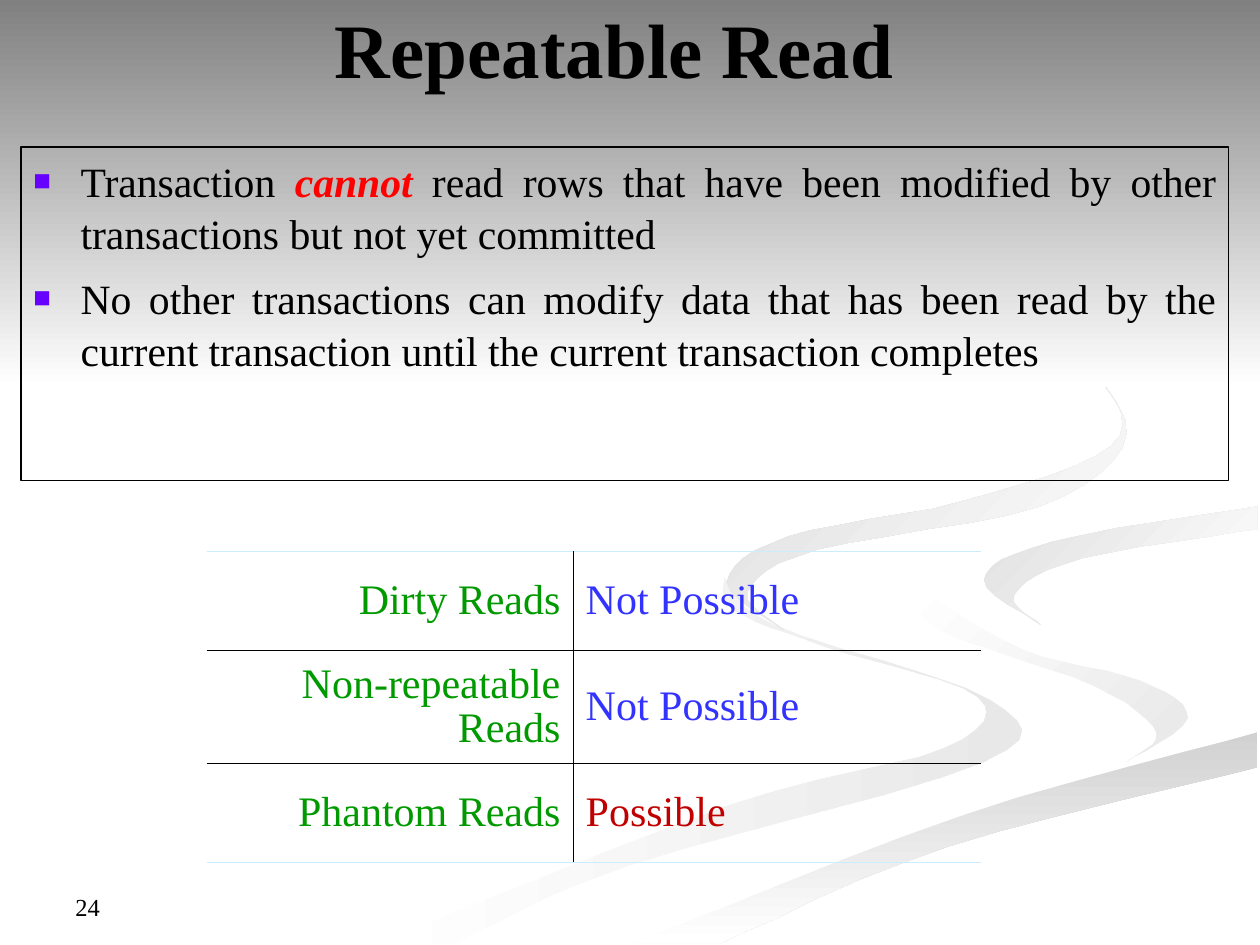
from collections import namedtuple
from dataclasses import dataclass

from lxml import etree
from pptx import Presentation
from pptx.dml.color import RGBColor
from pptx.enum.shapes import MSO_SHAPE
from pptx.enum.text import MSO_ANCHOR, PP_ALIGN
from pptx.oxml.ns import qn
from pptx.util import Pt

RECTANGLE = MSO_SHAPE.RECTANGLE
MIDDLE, TOP, BOTTOM = MSO_ANCHOR.MIDDLE, MSO_ANCHOR.TOP, MSO_ANCHOR.BOTTOM
LEFT, CENTER, RIGHT, JUSTIFY = PP_ALIGN.LEFT, PP_ALIGN.CENTER, PP_ALIGN.RIGHT, PP_ALIGN.JUSTIFY

Box = namedtuple("Box", "left top width height")
TITLE_ONLY = 5
GRID_WIDTH = 1000  # ribbon edges lie on a grid 1000 units wide
CURVE_STEPS = 6


@dataclass(frozen=True)
class Theme:
    font: str = "Times New Roman"
    title_size: float = 44
    body_size: float = 23.8
    table_size: float = 24
    number_size: float = 14
    rule: float = 0.45
    text: str = "000000"
    emphasis: str = "FF0000"
    bullet: str = "6600FF"
    problem: str = "009900"
    prevented: str = "3333FF"
    allowed: str = "C00000"
    outer_rule: str = "CCECFF"
    sky: str = "808080"
    paper: str = "FFFFFF"
    mist: str = "E8E8E8"
    road: str = "D1D1D1"
    turn: str = "E0E0E0"
    far: str = "D8D8D8"


THEME = Theme()

# Edges that two ribbons share
BEND_OUTER = [(724, 464), (811, 515), (905, 540), (943, 570), (894, 605)]
ROAD_TOP = [(503, 749), (764, 647), (998, 581)]
TURN_OUTER = [(998, 402), (835, 430), (781, 460), (826, 496)]

# Each ribbon: gradient start, gradient end, clockwise angle, edges in order
RIBBONS = [
    (THEME.paper, THEME.mist, 0, [
        [(575, 459), (582, 484), (654, 513), (776, 553), (749, 594), (579, 639), (300, 749)],
        [(361, 749), (499, 687), (780, 605), (786, 556), (614, 496), (575, 459)]]),
    (THEME.paper, THEME.mist, 45, [
        BEND_OUTER, [(894, 605), (918, 581), (868, 544), (746, 500), (724, 464)]]),
    (THEME.road, THEME.paper, 90, [ROAD_TOP, [(998, 609), (752, 672), (571, 749)]]),
    (THEME.paper, THEME.paper, 0, [
        [(477, 749), (663, 668), (894, 605)], BEND_OUTER[::-1],
        [(724, 464), (788, 422), (998, 387)], TURN_OUTER,
        [(826, 496), (998, 538)], ROAD_TOP[::-1]]),
    (THEME.turn, THEME.paper, 45, [
        TURN_OUTER, [(826, 496), (805, 472), (859, 443), (998, 420)]]),
    (THEME.far, THEME.paper, 45, [
        [(762, 233), (870, 299), (882, 354), (763, 398), (625, 426), (577, 462), (622, 500)],
        [(622, 500), (593, 470), (649, 436), (825, 402), (894, 344), (843, 275), (762, 233)]]),
]

RULES = [
    [("Transaction ", False), ("cannot", True),
     (" read rows that have been modified by other transactions but not yet committed", False)],
    [("No other transactions can modify data that has been read by the current "
      "transaction until the current transaction completes", False)],
]

ANOMALIES = [
    ("Dirty Reads", "Not Possible", THEME.prevented),
    ("Non-repeatable Reads", "Not Possible", THEME.prevented),
    ("Phantom Reads", "Possible", THEME.allowed),
]


def add_run(paragraph, text, size, color=THEME.text, bold=False, italic=False):
    run = paragraph.add_run()
    run.text = text
    font = run.font
    font.name, font.size, font.bold, font.italic = THEME.font, Pt(size), bold, italic
    font.color.rgb = RGBColor.from_string(color)


def smooth(edge):
    """Points of a Catmull-Rom curve through the points of an edge."""
    padded = [edge[0], *edge, edge[-1]]
    curve = [edge[0]]
    for quad in zip(padded, padded[1:], padded[2:], padded[3:]):
        for step in range(1, CURVE_STEPS + 1):
            t = step / CURVE_STEPS
            curve.append(tuple(
                (2 * b + (c - a) * t + (2 * a - 5 * b + 4 * c - d) * t ** 2
                 + (3 * b - a - 3 * c + d) * t ** 3) / 2
                for a, b, c, d in zip(*quad)))
    return curve


def fade(shape, start, end, angle):
    shape.shadow.inherit = False
    shape.line.fill.background()
    shape.fill.gradient()
    shape.fill.gradient_angle = (360 - angle) % 360
    for stop, color in zip(shape.fill.gradient_stops, (start, end)):
        stop.color.rgb = RGBColor.from_string(color)


def add_backdrop(slide, box):
    """Winding ribbons under a sky that fades to white."""
    scale = Pt(box.width) / GRID_WIDTH
    for start, end, angle, edges in RIBBONS:
        outline = [point for edge in edges for point in smooth(edge)]
        builder = slide.shapes.build_freeform(*outline[0], scale=scale)
        builder.add_line_segments(outline[1:], close=True)
        fade(builder.convert_to_shape(Pt(box.left), Pt(box.top)), start, end, angle)
    sky = slide.shapes.add_shape(
        RECTANGLE, Pt(box.left), Pt(box.top), Pt(box.width), Pt(box.height * 0.41))
    fade(sky, THEME.sky, THEME.paper, 90)


def place_title(slide, box, text):
    title = slide.shapes.title
    title.left, title.top, title.width, title.height = map(Pt, box)
    title.text_frame.vertical_anchor = MIDDLE
    paragraph = title.text_frame.paragraphs[0]
    paragraph.alignment = CENTER
    add_run(paragraph, text, THEME.title_size, bold=True)
    # Bring the title in front of the backdrop
    title._element.getparent().append(title._element)


def add_bullet(paragraph):
    properties = paragraph._p.get_or_add_pPr()
    properties.set("marL", str(Pt(27)))
    properties.set("indent", str(Pt(-27)))
    color = etree.SubElement(properties, qn("a:buClr"))
    etree.SubElement(color, qn("a:srgbClr"), val=THEME.bullet)
    etree.SubElement(properties, qn("a:buSzPct"), val="70000")
    etree.SubElement(properties, qn("a:buFont"), typeface=THEME.font)
    etree.SubElement(properties, qn("a:buChar"), char="■")


def add_rules(slide, box):
    """Framed list of what the isolation level guarantees."""
    panel = slide.shapes.add_shape(RECTANGLE, *map(Pt, box))
    panel.shadow.inherit = False
    panel.fill.background()
    panel.line.color.rgb = RGBColor.from_string(THEME.text)
    panel.line.width = Pt(0.75)
    frame = panel.text_frame
    frame.word_wrap, frame.vertical_anchor = True, TOP
    for index, rule in enumerate(RULES):
        paragraph = frame.add_paragraph() if index else frame.paragraphs[0]
        add_bullet(paragraph)
        paragraph.alignment = JUSTIFY
        paragraph.line_spacing = 1.05
        paragraph.space_before = Pt(7 if index else 0)
        for text, strong in rule:
            add_run(paragraph, text, THEME.body_size,
                    THEME.emphasis if strong else THEME.text, strong, strong)


def set_borders(cell, **colors):
    properties = cell._tc.get_or_add_tcPr()
    for position, side in enumerate("LRTB"):
        line = etree.Element(qn(f"a:ln{side}"), w=str(Pt(THEME.rule)))
        if side in colors:
            fill = etree.SubElement(line, qn("a:solidFill"))
            etree.SubElement(fill, qn("a:srgbClr"), val=colors[side])
        else:
            etree.SubElement(line, qn("a:noFill"))
        properties.insert(position, line)


def add_anomalies(slide, box):
    """Table of read anomalies and whether each can happen."""
    last = len(ANOMALIES) - 1
    table = slide.shapes.add_table(len(ANOMALIES), 2, *map(Pt, box)).table
    table.first_row = table.horz_banding = False
    for column, width in zip(table.columns, (209.5, box.width - 209.5)):
        column.width = Pt(width)
    for row, height in zip(table.rows, (56.7, box.height - 2 * 56.7, 56.7)):
        row.height = Pt(height)
    for index, (problem, outcome, color) in enumerate(ANOMALIES):
        top = THEME.text if index else THEME.outer_rule
        bottom = THEME.text if index < last else THEME.outer_rule
        entries = ((problem, THEME.problem, RIGHT, "R"), (outcome, color, LEFT, "L"))
        for column, (text, ink, alignment, inner) in enumerate(entries):
            cell = table.cell(index, column)
            cell.fill.background()
            cell.vertical_anchor = MIDDLE
            set_borders(cell, T=top, B=bottom, **{inner: THEME.text})
            paragraph = cell.text_frame.paragraphs[0]
            paragraph.alignment = alignment
            paragraph.line_spacing = 0.95
            add_run(paragraph, text, THEME.table_size, ink)


def add_page_number(slide, box, number):
    frame = slide.shapes.add_textbox(*map(Pt, box)).text_frame
    frame.word_wrap, frame.vertical_anchor = True, BOTTOM
    add_run(frame.paragraphs[0], number, THEME.number_size)


def main():
    deck = Presentation()
    deck.slide_width, deck.slide_height = Pt(720), Pt(540)
    slide = deck.slides.add_slide(deck.slide_layouts[TITLE_ONLY])
    add_backdrop(slide, Box(0, 0, 720, 540))
    place_title(slide, Box(66, -6, 570, 66), "Repeatable Read")
    add_rules(slide, Box(12, 84, 690, 190.5))
    add_page_number(slide, Box(36, 492.5, 168, 37.5), "24")
    add_anomalies(slide, Box(118, 315, 442.5, 178))
    deck.save("out.pptx")


if __name__ == "__main__":
    main()
